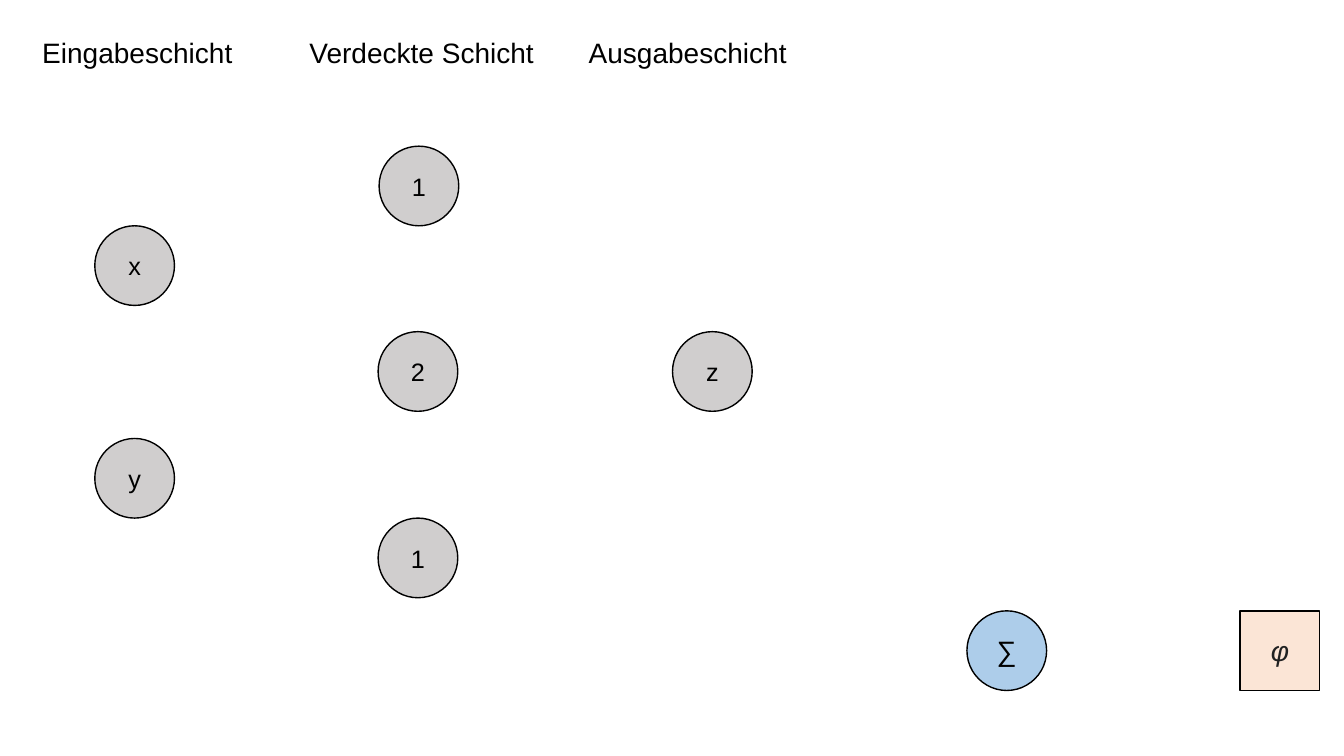
from pptx import Presentation
from pptx.dml.color import RGBColor
from pptx.enum.shapes import MSO_SHAPE as Shape
from pptx.enum.text import MSO_ANCHOR as Anchor, MSO_AUTO_SIZE as AutoSize, PP_ALIGN as Align
from pptx.util import Inches, Pt

BLACK = RGBColor(0x00, 0x00, 0x00)
CHARCOAL = RGBColor(0x20, 0x21, 0x22)
GREY = RGBColor(0xD0, 0xCE, 0xCE)
BLUE = RGBColor(0xAD, 0xCD, 0xEA)
PEACH = RGBColor(0xFB, 0xE5, 0xD6)

NODE_SIZE = 0.79
HEADING_TOP, HEADING_HEIGHT = 0.3, 0.44

# heading, left, width, neurons as (label, left, top)
LAYERS = [
    ("Eingabeschicht", 0.32, 2.15, [("x", 0.94, 2.24), ("y", 0.94, 4.35)]),
    ("Verdeckte Schicht", 2.97, 2.48,
     [("1", 3.76, 1.45), ("2", 3.75, 3.29), ("1", 3.75, 5.14)]),
    ("Ausgabeschicht", 5.74, 2.23, [("z", 6.67, 3.29)]),
]

NEURON_FONT = {"size": Pt(18), "name": "Arial"}
HEADING_FONT = {"size": Pt(20), "name": "Arial"}
ACTIVATION_FONT = HEADING_FONT | {"italic": True}


def write(shape, text, font_format, color=BLACK, align=None):
    paragraph = shape.text_frame.paragraphs[0]
    paragraph.alignment = align
    run = paragraph.add_run()
    run.text = text
    for name, value in font_format.items():
        setattr(run.font, name, value)
    run.font.color.rgb = color


def add_heading(slide, text, left, width):
    box = slide.shapes.add_textbox(
        Inches(left), Inches(HEADING_TOP), Inches(width), Inches(HEADING_HEIGHT))
    frame_format = {"word_wrap": True, "auto_size": AutoSize.SHAPE_TO_FIT_TEXT}
    for name, value in frame_format.items():
        setattr(box.text_frame, name, value)
    write(box, text, HEADING_FONT)


def add_node(slide, text, left, top, fill=GREY, font_format=NEURON_FONT,
             color=BLACK, kind=Shape.FLOWCHART_CONNECTOR):
    node = slide.shapes.add_shape(
        kind, Inches(left), Inches(top), Inches(NODE_SIZE), Inches(NODE_SIZE))
    node.shadow.inherit = False
    node.fill.solid()
    node.fill.fore_color.rgb = fill
    node.line.color.rgb = BLACK
    node.line.width = Pt(1)
    node.text_frame.vertical_anchor = Anchor.MIDDLE
    write(node, text, font_format, color, Align.CENTER)


def main():
    presentation = Presentation()
    presentation.slide_width = Inches(13.33)
    presentation.slide_height = Inches(7.5)
    slide = presentation.slides.add_slide(presentation.slide_layouts[6])

    for heading, left, width, neurons in LAYERS:
        add_heading(slide, heading, left, width)
        for neuron in neurons:
            add_node(slide, *neuron)

    add_node(slide, "∑", 9.59, 6.06, BLUE, HEADING_FONT)
    add_node(slide, "φ", 12.3, 6.06, PEACH, ACTIVATION_FONT, CHARCOAL, Shape.RECTANGLE)
    presentation.save("out.pptx")


if __name__ == "__main__":
    main()
